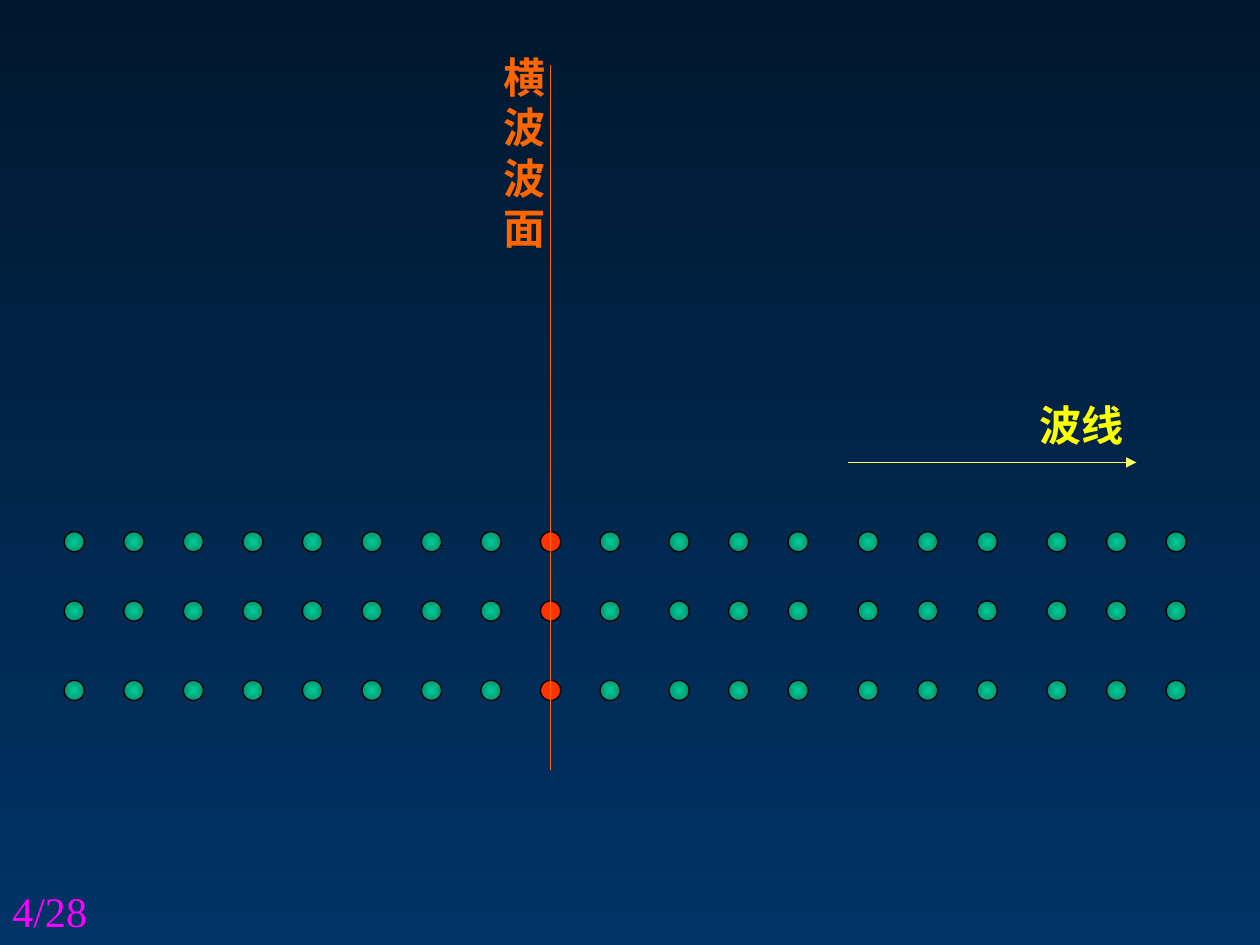
from dataclasses import dataclass

from lxml.etree import SubElement
from pptx import Presentation
from pptx.dml.color import RGBColor
from pptx.dml.fill import FillFormat
from pptx.enum.shapes import MSO_CONNECTOR, MSO_SHAPE
from pptx.enum.text import MSO_AUTO_SIZE
from pptx.oxml.ns import qn
from pptx.shapes.autoshape import Shape
from pptx.shapes.shapetree import SlideShapes
from pptx.util import Inches, Pt

COLORS = {
    "night": "00182F", "navy": "003366",
    "mint": "00CC99", "green": "00926D",
    "red": "FF3300", "black": "000000",
    "orange": "FF6600", "pale": "FFFF66",
    "yellow": "FFFF00", "pink": "FF00FF",
}
STEP = 0.4725
DOT = 0.16
ROWS = (4.77, 4.22, 5.4)
GROUPS = ((0.51, 10), (5.31, 3), (6.81, 3), (8.31, 3))  # left edge, dots
FRONT = 8  # column of the dots on the wave front


@dataclass
class Label:
    text: str
    box: tuple[float, float, float, float]
    color: str
    font: str = "Arial"
    bold: bool = True
    wrap: bool = True
    fit: MSO_AUTO_SIZE = MSO_AUTO_SIZE.SHAPE_TO_FIT_TEXT


@dataclass
class Ray:
    start: tuple[float, float]
    end: tuple[float, float]
    color: str
    arrow: bool = False


LABELS = (
    Label("横波波面", (3.9, 0.36, 0.57, 1.7), "orange"),
    Label("波线", (8.15, 3.12, 0.87, 0.5), "yellow", wrap=False),
    Label("4/28", (0, 6.98, 2.33, 0.52), "pink", "Times New Roman",
          bold=False, fit=MSO_AUTO_SIZE.NONE),
)
RAYS = (
    Ray((4.37, 6.11), (4.37, 0.52), "orange"),
    Ray((6.73, 3.67), (9.02, 3.67), "pale", arrow=True),
)


def rgb(name: str) -> RGBColor:
    return RGBColor.from_string(COLORS[name])


def blend(fill: FillFormat, first: str, last: str) -> None:
    """Fill with a gradient that runs from top to bottom."""
    fill.gradient()
    fill.gradient_angle = 270
    for stop, name in zip(fill.gradient_stops, (first, last)):
        stop.color.rgb = rgb(name)


def glow(dot: Shape) -> None:
    """Shade a dot from a light centre to a darker rim."""
    blend(dot.fill, "mint", "green")
    grad = dot.element.spPr.find(qn("a:gradFill"))
    grad.remove(grad.find(qn("a:lin")))
    shade = SubElement(grad, qn("a:path"), {"path": "shape"})
    SubElement(shade, qn("a:fillToRect"), dict.fromkeys("ltrb", "50000"))


def add_dot(shapes: SlideShapes, left: float, top: float, front: bool) -> None:
    dot = shapes.add_shape(MSO_SHAPE.OVAL, Inches(left), Inches(top),
                           Inches(DOT), Inches(DOT))
    dot.shadow.inherit = False
    if front:
        dot.fill.solid()
        dot.fill.fore_color.rgb = rgb("red")
    else:
        glow(dot)
    dot.line.color.rgb = rgb("black")
    dot.line.width = Pt(0.75)


def add_ray(shapes: SlideShapes, ray: Ray) -> None:
    ends = [Inches(v) for v in ray.start + ray.end]
    line = shapes.add_connector(MSO_CONNECTOR.STRAIGHT, *ends)
    line.line.color.rgb = rgb(ray.color)
    line.line.width = Pt(0.75)
    props = line.element.spPr
    if ray.arrow:
        SubElement(props.find(qn("a:ln")), qn("a:tailEnd"), {"type": "triangle"})
    SubElement(props, qn("a:effectLst"))


def add_label(shapes: SlideShapes, label: Label) -> None:
    frame = shapes.add_textbox(*[Inches(v) for v in label.box]).text_frame
    frame.word_wrap = label.wrap
    frame.auto_size = label.fit
    run = frame.paragraphs[0].add_run()
    run.text = label.text
    style = {"name": label.font, "size": Pt(24), "bold": label.bold}
    for key, value in style.items():
        setattr(run.font, key, value)
    run.font.color.rgb = rgb(label.color)


def main() -> None:
    deck = Presentation()
    deck.slide_width, deck.slide_height = Inches(10), Inches(7.5)
    slide = deck.slides.add_slide(deck.slide_layouts[6])
    blend(slide.background.fill, "night", "navy")

    lefts = [start + STEP * i for start, count in GROUPS for i in range(count)]
    for top in ROWS:
        for col, left in enumerate(lefts):
            add_dot(slide.shapes, left, top, col == FRONT)
    for ray in RAYS:
        add_ray(slide.shapes, ray)
    for label in LABELS:
        add_label(slide.shapes, label)
    deck.save("out.pptx")


if __name__ == "__main__":
    main()
